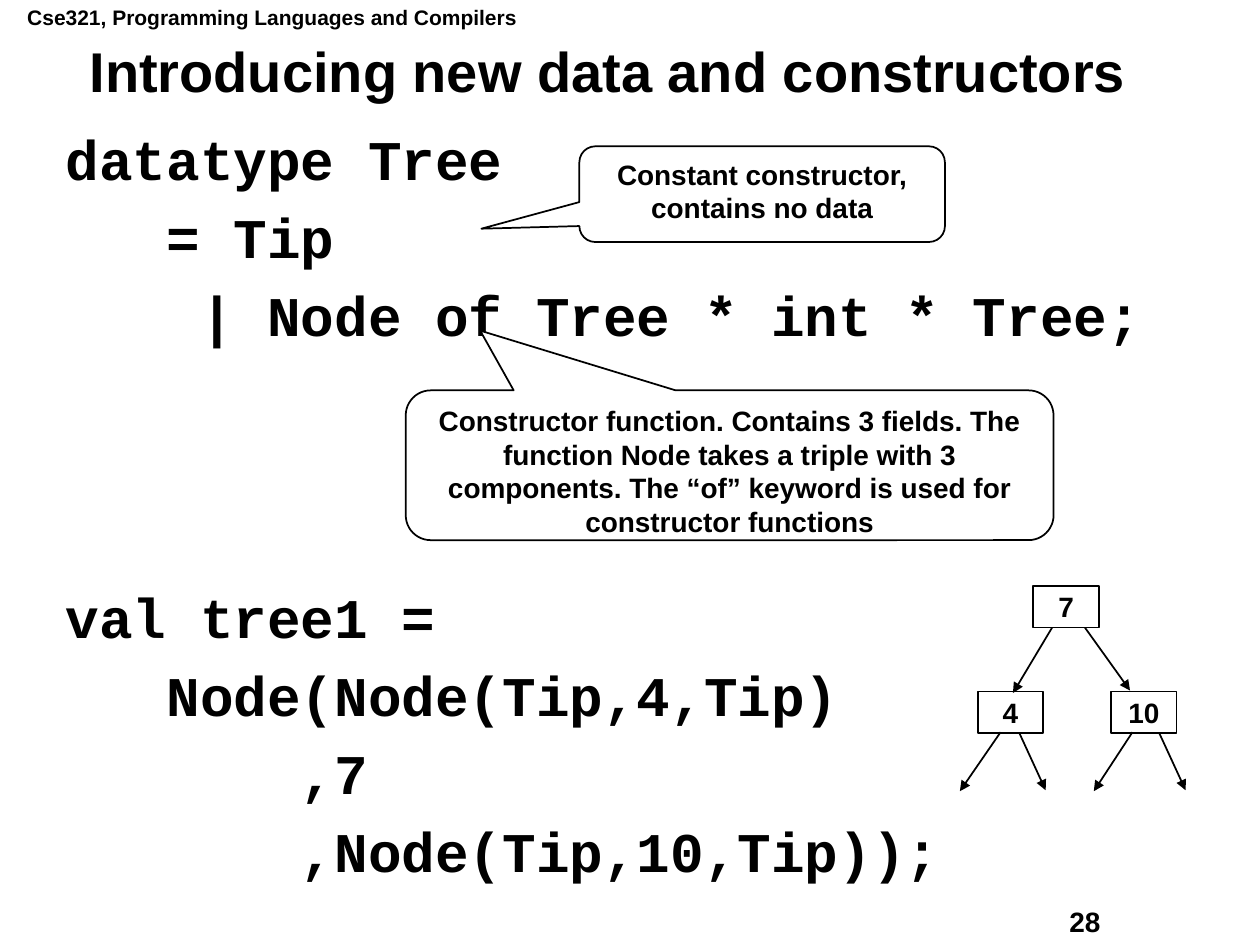
from lxml import etree
from pptx import Presentation
from pptx.dml.color import RGBColor
from pptx.enum.shapes import MSO_CONNECTOR, MSO_SHAPE
from pptx.enum.text import MSO_ANCHOR, MSO_AUTO_SIZE, PP_ALIGN
from pptx.oxml.ns import qn
from pptx.util import Cm, Pt

LEFT, CENTER = PP_ALIGN.LEFT, PP_ALIGN.CENTER
TOP, MIDDLE = MSO_ANCHOR.TOP, MSO_ANCHOR.MIDDLE
NO_AUTOFIT = MSO_AUTO_SIZE.NONE
CALLOUT, BOX = MSO_SHAPE.ROUNDED_RECTANGULAR_CALLOUT, MSO_SHAPE.RECTANGLE
STRAIGHT = MSO_CONNECTOR.STRAIGHT
BLACK, WHITE = "000000", "FFFFFF"
CODE_GAP = 13.8     # points before each code line
CODE_PITCH = 42.8   # points from one code line to the next


def rgb(value):
    return RGBColor.from_string(value)


def write(sp, text, size=16, font="Arial", align=LEFT, anchor=TOP,
          spacing=1.0, before=0, wrap=True):
    """Fill a shape with bold text, one paragraph per line."""
    tf = sp.text_frame
    tf.auto_size = NO_AUTOFIT
    tf.word_wrap = wrap
    tf.vertical_anchor = anchor
    for i, line in enumerate(text.split("\n")):
        p = tf.add_paragraph() if i else tf.paragraphs[0]
        pPr = p._p.get_or_add_pPr()
        pPr.set("marL", "0")
        pPr.set("indent", "0")
        etree.SubElement(pPr, qn("a:buNone"))
        p.alignment = align
        p.line_spacing = spacing
        p.space_before = Pt(before if i else 0)
        r = p.add_run()
        r.text = line
        r.font.size, r.font.name, r.font.bold = Pt(size), font, True
        r.font.color.rgb = rgb(BLACK)


prs = Presentation()
prs.slide_width, prs.slide_height = Cm(25.4), Cm(19.05)
s = prs.slides.add_slide(prs.slide_layouts[1])

# Course name and page number
for text, size, box in [
    ("Cse321, Programming Languages and Compilers", 12, (0.3, -0.03, 10.8, 0.76)),
    ("28", 16, (21.31, 18.11, 3.23, 0.91)),
]:
    write(s.shapes.add_textbox(*map(Cm, box)), text, size=size)

# Title
title = s.shapes.title
title.left, title.top, title.width, title.height = map(Cm, (0.79, 0.79, 22.94, 1.42))
write(title, "Introducing new data and constructors", size=32, align=CENTER,
      anchor=MIDDLE, spacing=0.9)

# Code
body = s.placeholders[1]
body.left, body.top, body.width, body.height = map(Cm, (1.07, 2.64, 22.66, 15.14))
code = """datatype Tree
   = Tip
    | Node of Tree * int * Tree;
val tree1 =
   Node(Node(Tip,4,Tip)
       ,7
       ,Node(Tip,10,Tip));"""
write(body, code, size=32, font="Courier New", spacing=0.8, before=CODE_GAP)
# The value starts three lines further down
body.text_frame.paragraphs[3].space_before = Pt(CODE_GAP + 3 * CODE_PITCH)

# Callouts and tree nodes
NODE_W, NODE_H = 1.32, 0.84
for kind, box, adjustments, text in [
    (CALLOUT, (11.68, 2.95, 7.37, 1.93), (-0.768, 0.361, 0.167),
     "Constant constructor, contains no data"),
    (CALLOUT, (8.18, 7.87, 13.06, 3.02), (-0.385, -0.899, 0.167),
     "Constructor function. Contains 3 fields. The function Node takes a triple "
     "with 3 components. The “of” keyword is used for constructor functions"),
    (BOX, (20.83, 11.81, NODE_W, NODE_H), (), "7"),
    (BOX, (19.71, 13.94, NODE_W, NODE_H), (), "4"),
    (BOX, (22.4, 13.94, NODE_W, NODE_H), (), "10"),
]:
    sp = s.shapes.add_shape(kind, *map(Cm, box))
    for i, value in enumerate(adjustments):
        sp.adjustments[i] = value
    sp.shadow.inherit = False
    sp.fill.solid()
    sp.fill.fore_color.rgb = rgb(WHITE)
    sp.line.color.rgb = rgb(BLACK)
    sp.line.width = Pt(1)
    is_callout = kind == CALLOUT
    write(sp, text, align=CENTER, anchor=TOP if is_callout else MIDDLE,
          wrap=is_callout)

# Tree arrows
for ends in [
    (21.21, 12.65, 20.42, 13.97),
    (21.87, 12.65, 22.78, 13.92),
    (20.17, 14.76, 19.35, 15.95),
    (20.55, 14.78, 21.08, 15.93),
    (22.83, 14.76, 22.05, 15.95),
    (23.37, 14.78, 23.9, 15.93),
]:
    arrow = s.shapes.add_connector(STRAIGHT, *map(Cm, ends))
    arrow.line.color.rgb = rgb(BLACK)
    arrow.line.width = Pt(1)
    etree.SubElement(arrow.line._get_or_add_ln(), qn("a:tailEnd"), type="triangle")
    etree.SubElement(arrow._element.spPr, qn("a:effectLst"))

prs.save("out.pptx")
